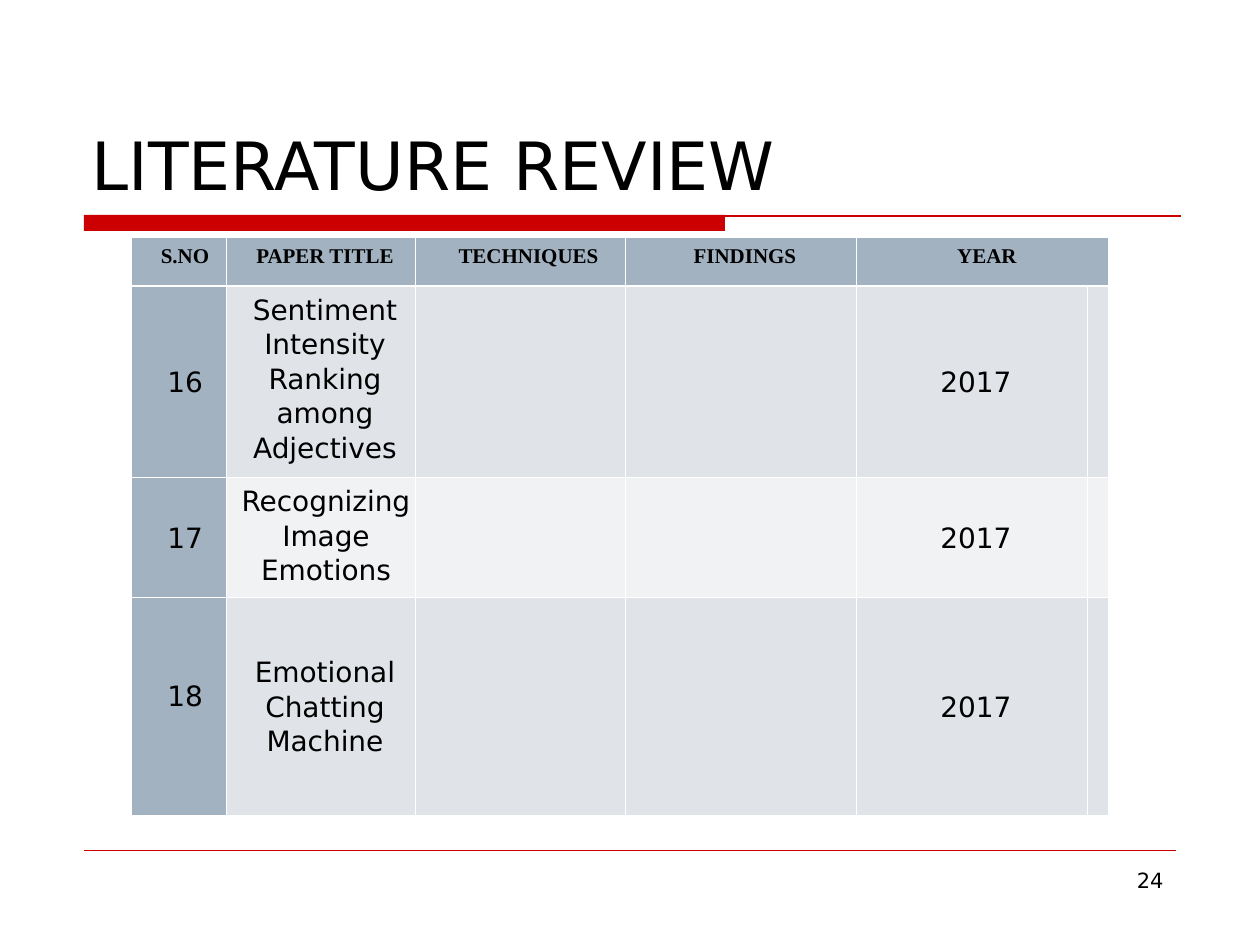
from dataclasses import dataclass
from itertools import product

from lxml.etree import SubElement
from pptx import Presentation
from pptx.dml.color import RGBColor
from pptx.enum.shapes import MSO_CONNECTOR as Connector, MSO_SHAPE as Preset
from pptx.enum.text import MSO_ANCHOR as Anchor, MSO_AUTO_SIZE as AutoSize, PP_ALIGN as Align
from pptx.oxml import parse_xml
from pptx.oxml.ns import nsdecls, qn
from pptx.util import Pt

EMU_PER_PX = 914400 / 126


@dataclass(frozen=True)
class Theme:
    accent: str = "CC0000"
    ink: str = "000000"
    grid: str = "FFFFFF"
    key: str = "A3B2C1"
    odd: str = "E0E4E9"
    even: str = "F0F2F4"
    sans: str = "DejaVu Sans"
    serif: str = "Times New Roman"
    title_pt: int = 38
    body_pt: int = 16
    small_pt: int = 12
    spacing: float = 1.07
    thin_pt: float = 0.45
    thick_pt: float = 1.47


@dataclass(frozen=True)
class Entry:
    text: str = ""
    indent: int = 0
    anchor: Anchor = Anchor.MIDDLE
    bottom: int = 6


@dataclass(frozen=True)
class Rule:
    left: int
    right: int
    y: int
    width_pt: float


THEME = Theme()
COLUMNS = (95, 189, 210, 231, 231, 10)
ROWS = (49, 184, 112, 218)
HEADINGS = tuple(
    Entry(text, indent, Anchor.TOP)
    for text, indent in (
        ("S.NO", 4), ("PAPER TITLE", 0), ("TECHNIQUES", 8), ("FINDINGS", 0), ("YEAR", 0), ("", 0),
    )
)
PAPERS = (
    (Entry("16", 4), Entry("Sentiment Intensity Ranking among Adjectives", anchor=Anchor.TOP)),
    (Entry("17", 4), Entry("Recognizing Image Emotions", 2, Anchor.TOP)),
    (Entry("18", 4, bottom=26), Entry("Emotional Chatting Machine")),
)
YEAR = Entry("2017")
RULES = (Rule(84, 1181, 216, 0.75), Rule(84, 1176, 850, 0.25))


def px(length: int) -> int:
    return round(length * EMU_PER_PX)


def style_text(paragraph, font_name: str, size: int, bold: bool = False) -> None:
    for run in paragraph.runs:
        run.font.name = font_name
        run.font.size = Pt(size)
        run.font.bold = bold
        run.font.color.rgb = RGBColor.from_string(THEME.ink)


def draw_rule(slide, rule: Rule) -> None:
    line = slide.shapes.add_connector(
        Connector.STRAIGHT, px(rule.left), px(rule.y), px(rule.right), px(rule.y)
    )
    line.line.color.rgb = RGBColor.from_string(THEME.accent)
    line.line.width = Pt(rule.width_pt)
    SubElement(line._element.spPr, qn("a:effectLst"))


def draw_bar(slide) -> None:
    bar = slide.shapes.add_shape(Preset.RECTANGLE, px(84), px(215), px(641), px(16))
    bar.shadow.inherit = False
    bar.fill.solid()
    bar.fill.fore_color.rgb = RGBColor.from_string(THEME.accent)
    bar.line.fill.background()


def set_title(slide) -> None:
    title = slide.shapes.title
    title.left, title.top, title.width, title.height = px(79), px(42), px(1102), px(168)
    frame = title.text_frame
    frame.text = "LITERATURE REVIEW"
    frame.auto_size = AutoSize.NONE
    frame.vertical_anchor = Anchor.BOTTOM
    frame.paragraphs[0].alignment = Align.LEFT
    style_text(frame.paragraphs[0], THEME.sans, THEME.title_pt)


def draw_page_number(slide) -> None:
    frame = slide.shapes.add_textbox(px(903), px(861), px(273), px(66)).text_frame
    frame.word_wrap = True
    frame.text = "24"
    frame.paragraphs[0].alignment = Align.RIGHT
    style_text(frame.paragraphs[0], THEME.sans, THEME.small_pt)


def set_borders(cell, row: int) -> None:
    top = THEME.thick_pt if row == 1 else THEME.thin_pt
    bottom = THEME.thick_pt if row == 0 else THEME.thin_pt
    widths = {"lnL": THEME.thin_pt, "lnR": THEME.thin_pt, "lnT": top, "lnB": bottom}
    properties = cell._tc.get_or_add_tcPr()
    for position, (side, width) in enumerate(widths.items()):
        properties.insert(position, parse_xml(
            f'<a:{side} {nsdecls("a")} w="{Pt(width)}"><a:solidFill>'
            f'<a:srgbClr val="{THEME.grid}"/></a:solidFill></a:{side}>'
        ))


def fill_cell(cell, entry: Entry, row: int, column: int) -> None:
    is_heading = row == 0
    band = THEME.odd if row % 2 else THEME.even
    if row == len(PAPERS):
        band = THEME.odd
    cell.fill.solid()
    cell.fill.fore_color.rgb = RGBColor.from_string(
        THEME.key if is_heading or column == 0 else band
    )
    cell.margin_left, cell.margin_right = px(13), px(4)
    cell.margin_top, cell.margin_bottom = px(6), px(entry.bottom)
    cell.vertical_anchor = entry.anchor
    set_borders(cell, row)
    if not entry.text:
        return
    cell.text_frame.text = entry.text
    paragraph = cell.text_frame.paragraphs[0]
    paragraph.alignment = Align.CENTER
    paragraph.line_spacing = THEME.spacing
    paragraph._p.get_or_add_pPr().set("marL", str(px(entry.indent)))
    if is_heading:
        style_text(paragraph, THEME.serif, THEME.small_pt, bold=True)
    else:
        style_text(paragraph, THEME.sans, THEME.body_pt)


def draw_review(slide) -> None:
    review = slide.shapes.add_table(
        len(ROWS), len(COLUMNS), px(131), px(237), px(sum(COLUMNS)), px(sum(ROWS))
    ).table
    review.horz_banding = False
    review.first_row = False
    for column, width in zip(review.columns, COLUMNS):
        column.width = px(width)
    for row, height in zip(review.rows, ROWS):
        row.height = px(height)
    entries = (HEADINGS, *((*paper, Entry(), Entry(), YEAR, Entry()) for paper in PAPERS))
    for row, column in product(range(len(ROWS)), range(len(COLUMNS))):
        fill_cell(review.cell(row, column), entries[row][column], row, column)
    review.cell(0, 4).merge(review.cell(0, 5))


def main() -> None:
    deck = Presentation()
    deck.slide_width, deck.slide_height = px(1260), px(945)
    slide = deck.slides.add_slide(deck.slide_layouts[5])
    set_title(slide)
    draw_bar(slide)
    for rule in RULES:
        draw_rule(slide, rule)
    draw_page_number(slide)
    draw_review(slide)
    deck.save("out.pptx")


if __name__ == "__main__":
    main()
